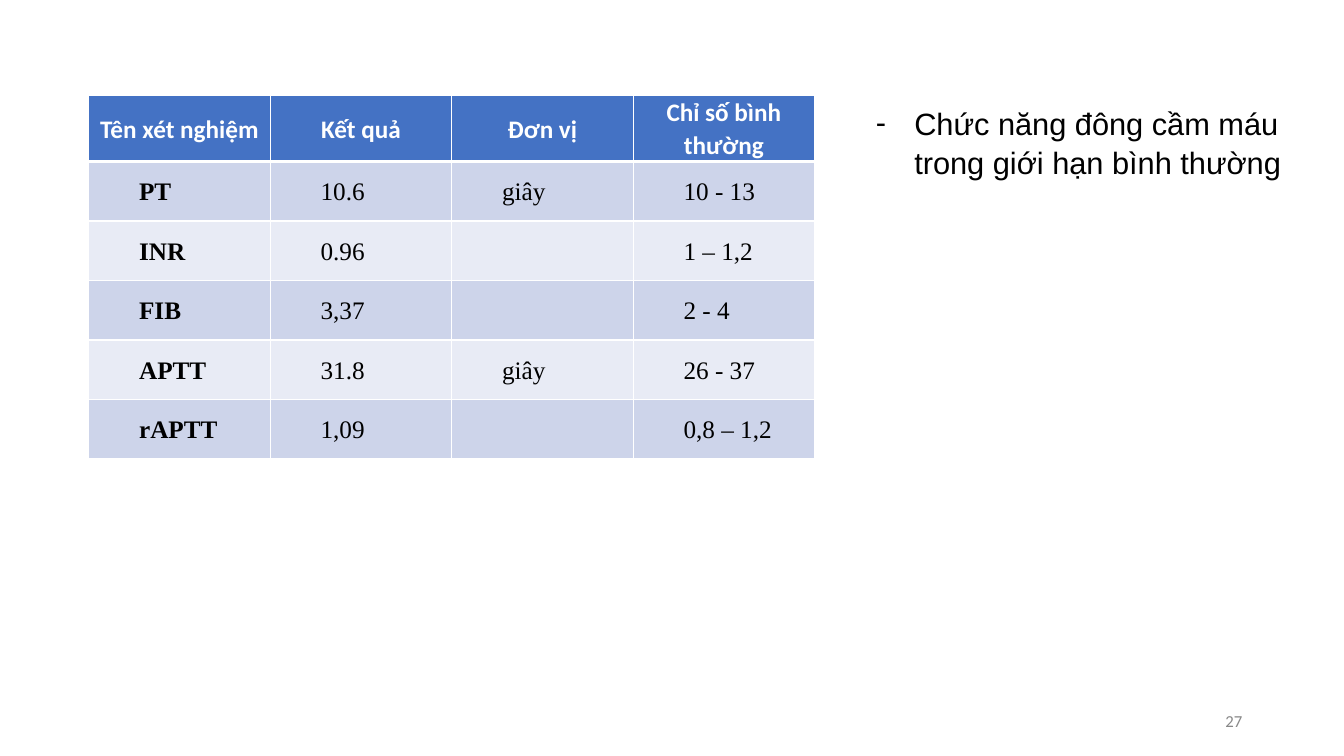
import pptx
import pptx.util
import pptx.dml.color
import pptx.enum.text
import pptx.oxml
import pptx.oxml.ns
from pptx.util import Inches

COLORS = {
    "header": "4472C4",
    "band_dark": "CDD4EA",
    "band_light": "E8EBF5",
    "white": "FFFFFF",
    "black": "000000",
    "gray": "888888",
}
ALIGN = pptx.enum.text.PP_ALIGN
ANCHOR = pptx.enum.text.MSO_ANCHOR

LAB_RESULTS = [
    ["Tên xét nghiệm", "Kết quả", "Đơn vị", "Chỉ số bình thường"],
    ["PT", "10.6", "giây", "10 - 13"],
    ["INR", "0.96", "", "1 – 1,2"],
    ["FIB", "3,37", "", "2 - 4"],
    ["APTT", "31.8", "giây", "26 - 37"],
    ["rAPTT", "1,09", "", "0,8 – 1,2"],
]


def rgb(name):
    return pptx.dml.color.RGBColor.from_string(COLORS[name])


def set_attributes(target, values):
    for name, value in values.items():
        setattr(target, name, value)


def set_font(font, name, size, color, bold=False):
    set_attributes(font, {"name": name, "size": pptx.util.Pt(size), "bold": bold})
    font.color.rgb = rgb(color)


def set_indent(p, left, first=0):
    pPr = p._p.get_or_add_pPr()
    pPr.set("marL", str(Inches(left)))
    pPr.set("indent", str(Inches(first)))
    return pPr


def add_xml(parent, xml):
    ns = pptx.oxml.ns.nsdecls("a")
    parent.append(pptx.oxml.parse_xml(xml.replace("/>", f" {ns}/>", 1)
                                      if xml.endswith("/>") and xml.count("<") == 1
                                      else xml.replace(">", f" {ns}>", 1)))


def set_borders(cell, widths):
    """Draw white borders; widths maps L, R, T and B to points."""
    tcPr = cell._tc.get_or_add_tcPr()
    for side, width in widths.items():
        add_xml(tcPr, f'<a:ln{side} w="{pptx.util.Pt(width)}"><a:solidFill>'
                      f'<a:srgbClr val="{COLORS["white"]}"/></a:solidFill></a:ln{side}>')


def format_cell(cell, text, row, col):
    is_header = row == 0
    margin = Inches(0.05 if is_header else 0)
    set_attributes(cell, {
        "text": text, "vertical_anchor": ANCHOR.MIDDLE,
        "margin_left": margin, "margin_right": margin,
        "margin_top": 0, "margin_bottom": 0,
    })
    set_borders(cell, {"L": 1, "R": 1, "T": 3 if row == 1 else 1, "B": 3 if is_header else 1})
    cell.fill.solid()
    band = "band_dark" if row % 2 else "band_light"
    cell.fill.fore_color.rgb = rgb("header" if is_header else band)

    p = cell.text_frame.paragraphs[0]
    p.line_spacing = 1.07
    if is_header:
        p.alignment = ALIGN.CENTER
        set_font(p.font, "Calibri", 18, "white", True)
    else:
        set_indent(p, 0.5)
        set_font(p.font, "Times New Roman", 18, "black", col == 0)


def add_results_table(s, rows, left, top, col_width, row_height):
    n_rows, n_cols = len(rows), len(rows[0])
    table = s.shapes.add_table(n_rows, n_cols, Inches(left), Inches(top),
                               Inches(col_width * n_cols),
                               Inches(row_height * n_rows)).table
    for column in table.columns:
        column.width = Inches(col_width)
    for r, values in enumerate(rows):
        table.rows[r].height = Inches(row_height)
        for c, text in enumerate(values):
            format_cell(table.cell(r, c), text, r, c)


def add_text(s, text, left, top, width, height):
    tf = s.shapes.add_textbox(*map(Inches, (left, top, width, height))).text_frame
    tf.word_wrap = True
    tf.text = text
    return tf


def add_conclusion(s, text):
    p = add_text(s, text, 8.59, 0.96, 4.34, 0.86).paragraphs[0]
    p.line_spacing = 1.07
    pPr = set_indent(p, 0.38, -0.38)
    add_xml(pPr, '<a:buFont typeface="Arial"/>')
    add_xml(pPr, '<a:buChar char="-"/>')
    set_font(p.font, "Arial", 22, "black")


def add_page_number(s, number):
    tf = add_text(s, number, 9.42, 6.95, 3, 0.4)
    tf.vertical_anchor = ANCHOR.MIDDLE
    p = tf.paragraphs[0]
    p.alignment = ALIGN.RIGHT
    set_font(p.font, "Calibri", 12, "gray")


def main():
    prs = pptx.Presentation()
    set_attributes(prs, {"slide_width": Inches(13.33), "slide_height": Inches(7.5)})
    s = prs.slides.add_slide(prs.slide_layouts[6])
    add_results_table(s, LAB_RESULTS, 0.88, 0.95, 1.8, 0.59)
    add_conclusion(s, "Chức năng đông cầm máu trong giới hạn bình thường")
    add_page_number(s, "27")
    prs.save("out.pptx")


if __name__ == "__main__":
    main()
